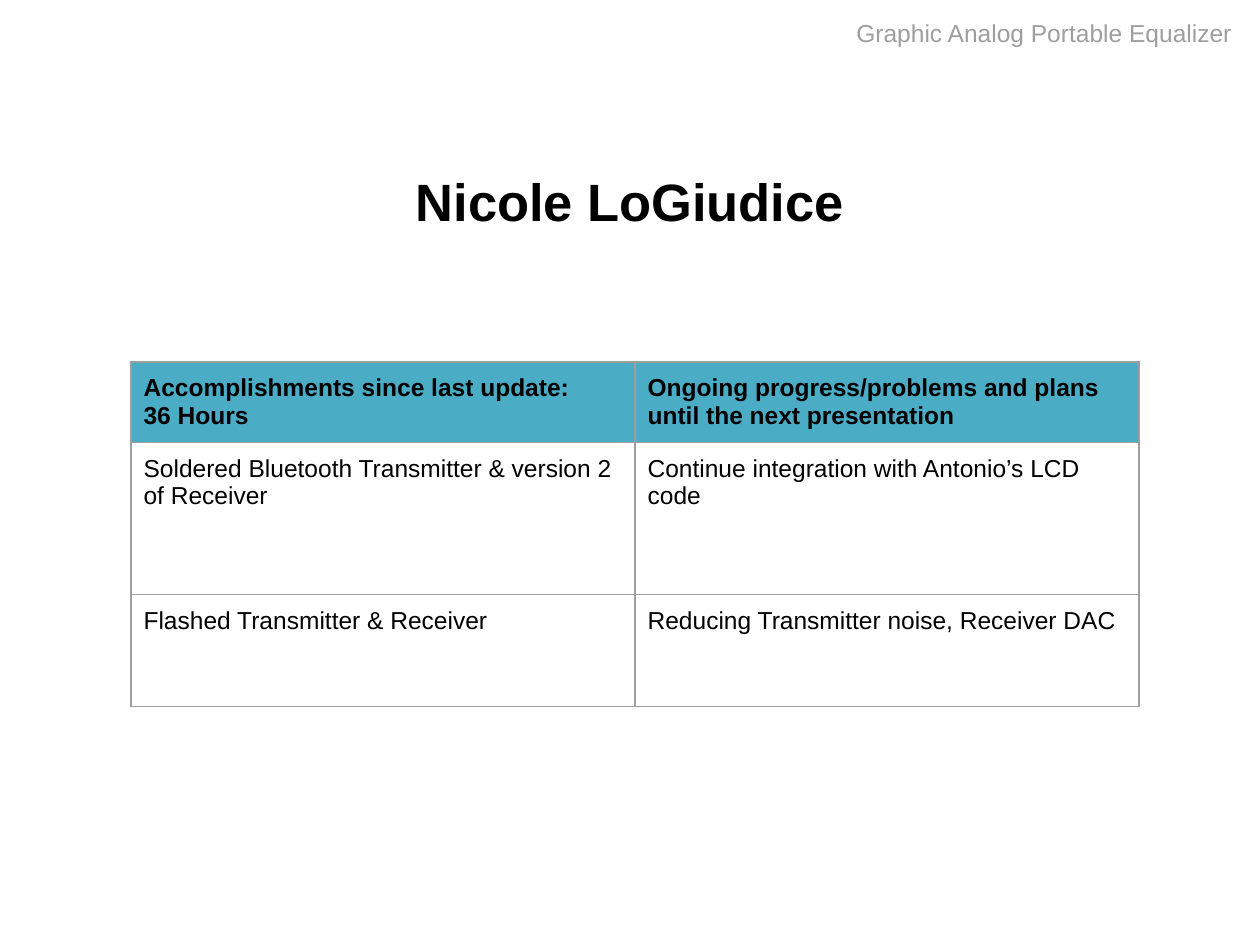
from dataclasses import dataclass
from typing import Optional

from lxml.etree import SubElement
from pptx import Presentation
from pptx.dml.color import RGBColor
from pptx.enum.text import MSO_ANCHOR, MSO_AUTO_SIZE, PP_ALIGN
from pptx.oxml.ns import qn
from pptx.util import Emu, Pt

EMU_PER_PX = 914400 / 126


@dataclass(frozen=True)
class Theme:
    font: str = "Arial"
    ink: str = "000000"
    gray: str = "9E9E9E"
    header_fill: str = "4BACC6"
    title_size: int = 30
    body_size: int = 14
    border_width: float = 0.75


@dataclass(frozen=True)
class Row:
    height: int
    cells: tuple[str, ...]
    bold: bool = False
    fill: Optional[str] = None


THEME = Theme()
COLUMN_WIDTH = 504
ROWS = (
    Row(73, ("Accomplishments since last update:\n36 Hours",
             "Ongoing progress/problems and plans until the next presentation"),
        bold=True, fill=THEME.header_fill),
    Row(152, ("Soldered Bluetooth Transmitter & version 2 of Receiver",
              "Continue integration with Antonio’s LCD code")),
    Row(112, ("Flashed Transmitter & Receiver",
              "Reducing Transmitter noise, Receiver DAC")),
)


def px(length: float) -> Emu:
    return Emu(round(length * EMU_PER_PX))


def set_all(target, values: dict) -> None:
    for name, value in values.items():
        setattr(target, name, value)


def write(frame, text: str, size: int, color: str, bold: bool = False,
          align: PP_ALIGN = PP_ALIGN.LEFT) -> None:
    frame.text = text
    for para in frame.paragraphs:
        para.alignment = align
        for span in para.runs:
            set_all(span.font, {"name": THEME.font, "size": Pt(size), "bold": bold})
            span.font.color.rgb = RGBColor.from_string(color)


def margins(horizontal: float, vertical: float) -> dict:
    return {"margin_left": px(horizontal), "margin_right": px(horizontal),
            "margin_top": px(vertical), "margin_bottom": px(vertical)}


def add_borders(cell) -> None:
    properties = cell._tc.get_or_add_tcPr()
    for side in ("lnL", "lnR", "lnT", "lnB"):
        line = SubElement(properties, qn(f"a:{side}"), w=str(Pt(THEME.border_width)))
        fill = SubElement(line, qn("a:solidFill"))
        SubElement(fill, qn("a:srgbClr"), val=THEME.gray)


def fill_cell(cell, text: str, row: Row) -> None:
    set_all(cell, margins(12.6, 12.6) | {"vertical_anchor": MSO_ANCHOR.TOP})
    write(cell.text_frame, text, THEME.body_size, THEME.ink, row.bold)
    add_borders(cell)
    if row.fill:
        cell.fill.solid()
        cell.fill.fore_color.rgb = RGBColor.from_string(row.fill)
    else:
        cell.fill.background()


def add_progress_table(page, left: int, top: int) -> None:
    columns = len(ROWS[0].cells)
    table = page.shapes.add_table(
        len(ROWS), columns, px(left), px(top), px(COLUMN_WIDTH * columns),
        px(sum(row.height for row in ROWS))).table
    set_all(table, {"first_row": True, "horz_banding": False})
    for column in table.columns:
        column.width = px(COLUMN_WIDTH)
    for row_index, row in enumerate(ROWS):
        table.rows[row_index].height = px(row.height)
        for column_index, text in enumerate(row.cells):
            fill_cell(table.cell(row_index, column_index), text, row)


def main() -> None:
    deck = Presentation()
    set_all(deck, {"slide_width": px(1260), "slide_height": px(945)})
    page = deck.slides.add_slide(deck.slide_layouts[5])

    # Title
    title = page.shapes.title
    set_all(title, {"left": px(63), "top": px(145), "width": px(1134), "height": px(111)})
    set_all(title.text_frame, margins(12.6, 6.3) | {
        "word_wrap": True, "auto_size": MSO_AUTO_SIZE.NONE,
        "vertical_anchor": MSO_ANCHOR.MIDDLE})
    write(title.text_frame, "Nicole LoGiudice", THEME.title_size, THEME.ink,
          bold=True, align=PP_ALIGN.CENTER)

    # Progress table
    add_progress_table(page, 131, 362)

    # Project name in the top right corner
    box = page.shapes.add_textbox(px(844), px(5), px(405), px(55))
    set_all(box.text_frame, margins(12.6, 12.6) | {
        "word_wrap": True, "auto_size": MSO_AUTO_SIZE.SHAPE_TO_FIT_TEXT,
        "vertical_anchor": MSO_ANCHOR.TOP})
    write(box.text_frame, "Graphic Analog Portable Equalizer", THEME.body_size, THEME.gray)

    deck.save("out.pptx")


if __name__ == "__main__":
    main()
